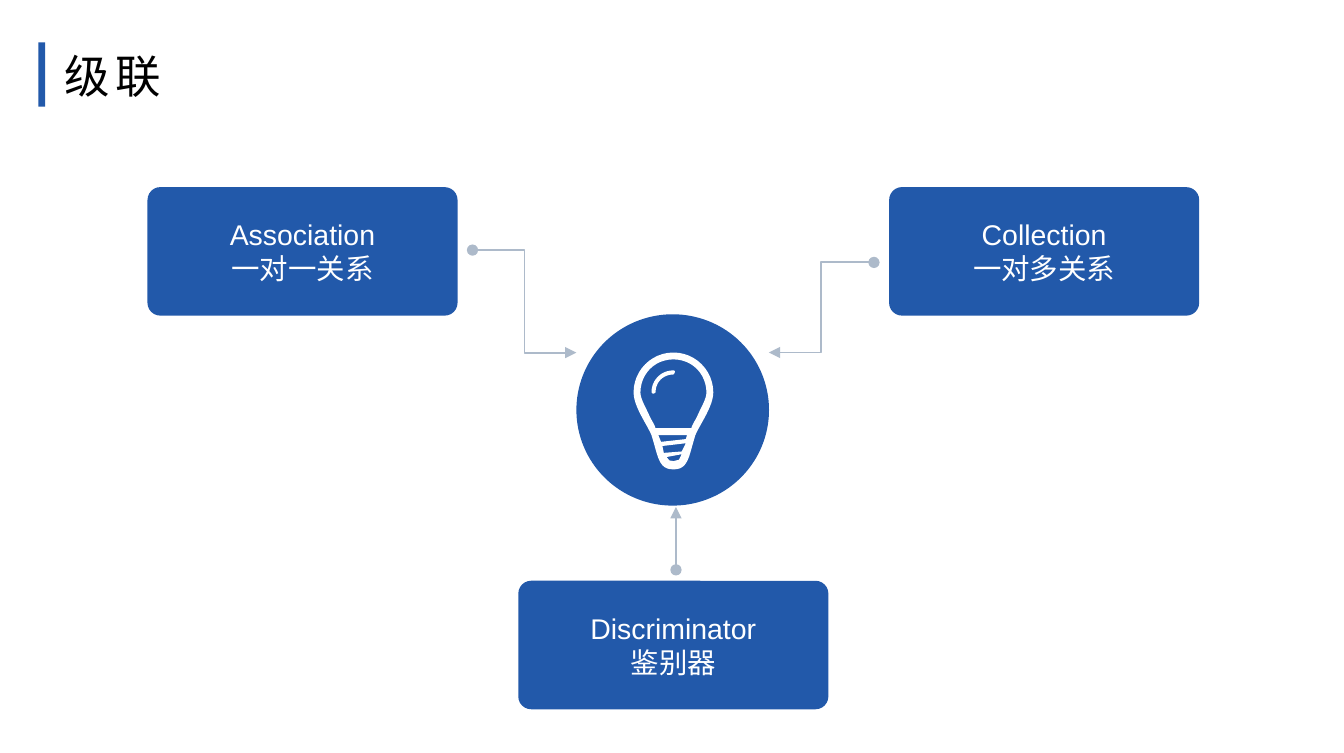
"""Build the slide on cascades: three relations that feed one central idea."""
from dataclasses import dataclass

from lxml import etree
from pptx import Presentation
from pptx.dml.color import RGBColor
from pptx.enum.shapes import MSO_CONNECTOR, MSO_SHAPE
from pptx.enum.text import MSO_ANCHOR, MSO_AUTO_SIZE, PP_ALIGN
from pptx.oxml.ns import qn
from pptx.util import Inches, Pt

RECT, ROUNDED, OVAL = MSO_SHAPE.RECTANGLE, MSO_SHAPE.ROUNDED_RECTANGLE, MSO_SHAPE.OVAL
ELBOW, STRAIGHT = MSO_CONNECTOR.ELBOW, MSO_CONNECTOR.STRAIGHT
CENTER, MIDDLE = PP_ALIGN.CENTER, MSO_ANCHOR.MIDDLE
FIT_SHAPE = MSO_AUTO_SIZE.SHAPE_TO_FIT_TEXT

BULB_WIDTH = 58
BULB_HALF = [(29, 0), (13, 0), (0, 13), (0, 29), (0, 39), (9, 51), (13, 60),
             (18, 76), (18, 85), (29, 85)]
GLASS_HALF = [(29, 5), (15, 5), (5, 16), (5, 29), (5, 34), (9, 40), (12, 47),
              (13, 49), (15, 52), (16, 55)]
SOCKET_BANDS = [
    [(18, 60), (39, 60), (38, 63), (20, 65)],
    [(21, 68), (38, 66), (35, 72), (22, 73)],
    [(24, 76), (35, 74), (33, 78), (29, 79), (26, 78.5)],
]
SHINE = [(29, 13), (20, 13), (13, 20), (13, 29), (13, 29), (14, 30), (14, 30),
         (15, 30), (16, 29), (16, 29), (16, 21), (22, 16), (29, 16),
         (29, 16), (30, 15), (30, 14), (30, 13), (29, 13), (29, 13)]


@dataclass(frozen=True)
class Theme:
    """Colours, fonts and type sizes of the slide."""
    blue: RGBColor = RGBColor.from_string("2259AA")
    white: RGBColor = RGBColor.from_string("FFFFFF")
    black: RGBColor = RGBColor.from_string("000000")
    grey: RGBColor = RGBColor.from_string("ADBACA")
    title_font: str = "Noto Sans CJK SC"
    body_font: str = "Arial"
    title_size: int = 24
    body_size: int = 15
    title_spacing: int = 300


def curve(points, steps=12):
    """Return points along a chain of cubic Bezier curves."""
    traced = [points[0]]
    for first in range(0, len(points) - 1, 3):
        a, b, c, d = points[first:first + 4]
        for step in range(1, steps + 1):
            t = step / steps
            weights = ((1 - t) ** 3, 3 * t * (1 - t) ** 2, 3 * t * t * (1 - t), t ** 3)
            traced.append(tuple(
                sum(w * p[axis] for w, p in zip(weights, (a, b, c, d)))
                for axis in (0, 1)))
    return traced


def mirrored(half):
    """Return a closed outline from its left half."""
    left = curve(half)
    return left + [(BULB_WIDTH - x, y) for x, y in reversed(left)]


class SlideBuilder:
    """Draws styled elements placed in percent of the slide's size."""

    def __init__(self, deck, theme):
        self.width, self.height = deck.slide_width, deck.slide_height
        self.theme = theme
        self.slide = deck.slides.add_slide(deck.slide_layouts[6])

    def x(self, share):
        """Convert a percentage of the width."""
        return round(self.width * share / 100)

    def y(self, share):
        """Convert a percentage of the height."""
        return round(self.height * share / 100)

    def box(self, left, top, width, height):
        """Convert a percentage box."""
        return self.x(left), self.y(top), self.x(width), self.y(height)

    def paint(self, shape, color):
        """Give a shape a plain fill."""
        shape.shadow.inherit = False
        shape.fill.solid()
        shape.fill.fore_color.rgb = color
        shape.line.fill.background()

    def block(self, kind, *box):
        """Add a blue preset shape."""
        shape = self.slide.shapes.add_shape(kind, *self.box(*box))
        self.paint(shape, self.theme.blue)
        return shape

    def margins(self, frame):
        """Set the common text insets."""
        frame.margin_left = frame.margin_right = Inches(0.07)
        frame.margin_top = frame.margin_bottom = Inches(0.04)

    def style(self, paragraph, size, font, color):
        """Set the type of a whole paragraph."""
        paragraph.font.size = Pt(size)
        paragraph.font.name = font
        paragraph.font.color.rgb = color

    def title(self, text, *box):
        """Add the widely spaced title."""
        frame = self.slide.shapes.add_textbox(*self.box(*box)).text_frame
        self.margins(frame)
        frame.word_wrap = False
        frame.auto_size = FIT_SHAPE
        frame.text = text
        heading = frame.paragraphs[0]
        self.style(heading, self.theme.title_size, self.theme.title_font, self.theme.black)
        letters = heading._p.pPr.find(qn("a:defRPr"))
        letters.set("spc", str(self.theme.title_spacing))
        etree.SubElement(letters, qn("a:ea"), typeface=self.theme.title_font)

    def card(self, text, left, top):
        """Add a rounded card with centred lines."""
        card = self.block(ROUNDED, left, top, 23.07, 17.06)
        card.adjustments[0] = 0.1
        frame = card.text_frame
        self.margins(frame)
        frame.word_wrap = True
        frame.vertical_anchor = MIDDLE
        frame.text = text
        for line in frame.paragraphs:
            line.alignment = CENTER
            self.style(line, self.theme.body_size, self.theme.body_font, self.theme.white)

    def outline(self, contours, left, top, width):
        """Add a white freeform drawn in bulb units."""
        unit = self.x(width) / BULB_WIDTH
        placed = [[(self.x(left) + round(x * unit), self.y(top) + round(y * unit))
                   for x, y in contour] for contour in contours]
        builder = self.slide.shapes.build_freeform(*placed[0][0])
        for number, contour in enumerate(placed):
            if number:
                builder.move_to(*contour[0])
            builder.add_line_segments(contour[1:], close=True)
        self.paint(builder.convert_to_shape(), self.theme.white)

    def arrow(self, kind, start, end):
        """Add a grey connector from a dot to an arrowhead."""
        arrow = self.slide.shapes.add_connector(
            kind, self.x(start[0]), self.y(start[1]), self.x(end[0]), self.y(end[1]))
        arrow.line.color.rgb = self.theme.grey
        arrow.line.width = Pt(1)
        stroke = arrow.line._get_or_add_ln()
        etree.SubElement(stroke, qn("a:headEnd"), type="oval")
        etree.SubElement(stroke, qn("a:tailEnd"), type="triangle")
        etree.SubElement(arrow._element.spPr, qn("a:effectLst"))


def main():
    """Build and save the slide."""
    deck = Presentation()
    deck.slide_width, deck.slide_height = Inches(9.84), Inches(5.51)
    page = SlideBuilder(deck, Theme())

    page.block(RECT, 2.85, 5.63, 0.51, 8.53)
    page.title("级联", 4.07, 5.63, 9.25, 8.71)

    upper, lower = 24.86, 77.13
    relations = [("Association\n一对一关系", upper), ("Discriminator\n鉴别器", lower),
                 ("Collection\n一对多关系", upper)]
    for column, (relation, top) in enumerate(relations):
        page.card(relation, 10.98 + 27.59 * column, top)

    page.block(OVAL, 42.89, 41.74, 14.33, 25.41)
    bulb = [mirrored(BULB_HALF), mirrored(GLASS_HALF), *SOCKET_BANDS]
    for contours in (bulb, [curve(SHINE)]):
        page.outline(contours, 47.15, 46.82, 5.93)

    page.arrow(ELBOW, (35.16, 33.21), (42.89, 46.82))
    page.arrow(ELBOW, (65.04, 34.85), (57.22, 46.82))
    page.arrow(STRAIGHT, (50.3, 75.68), (50.3, 67.33))
    deck.save("out.pptx")


if __name__ == "__main__":
    main()
